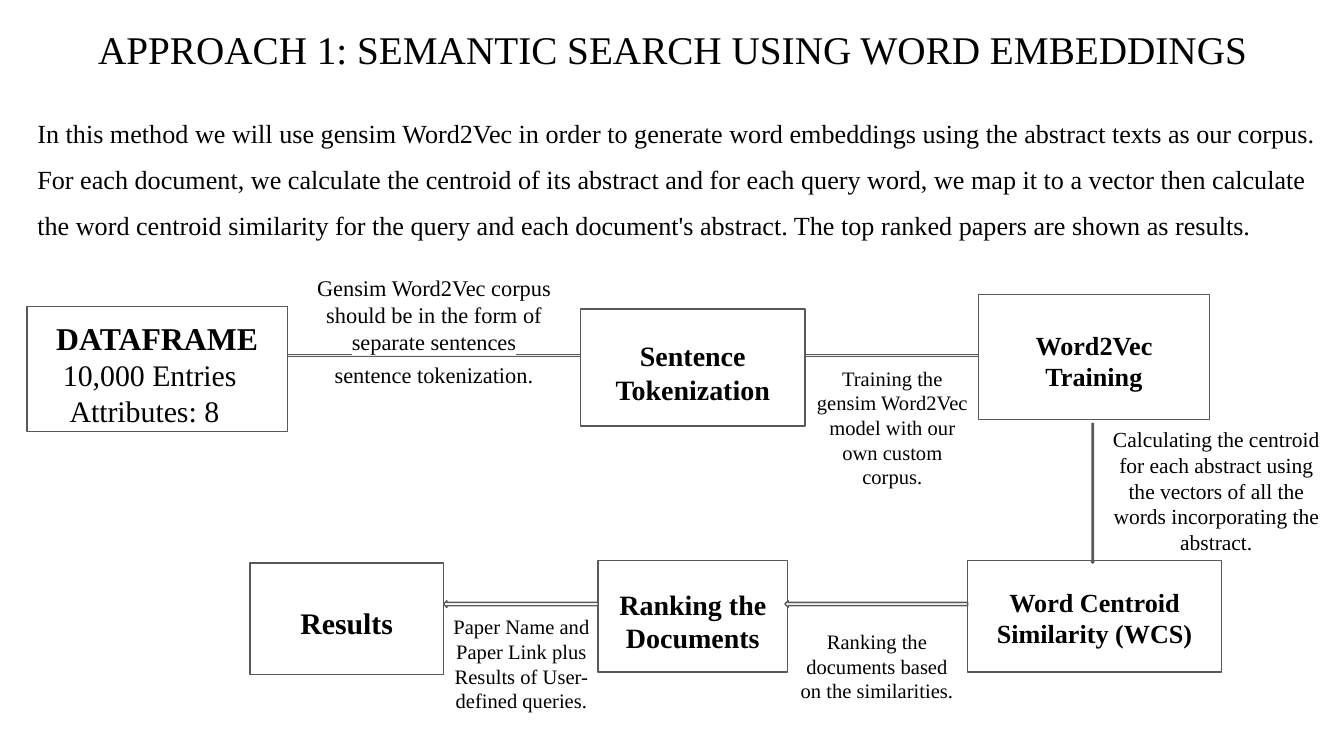
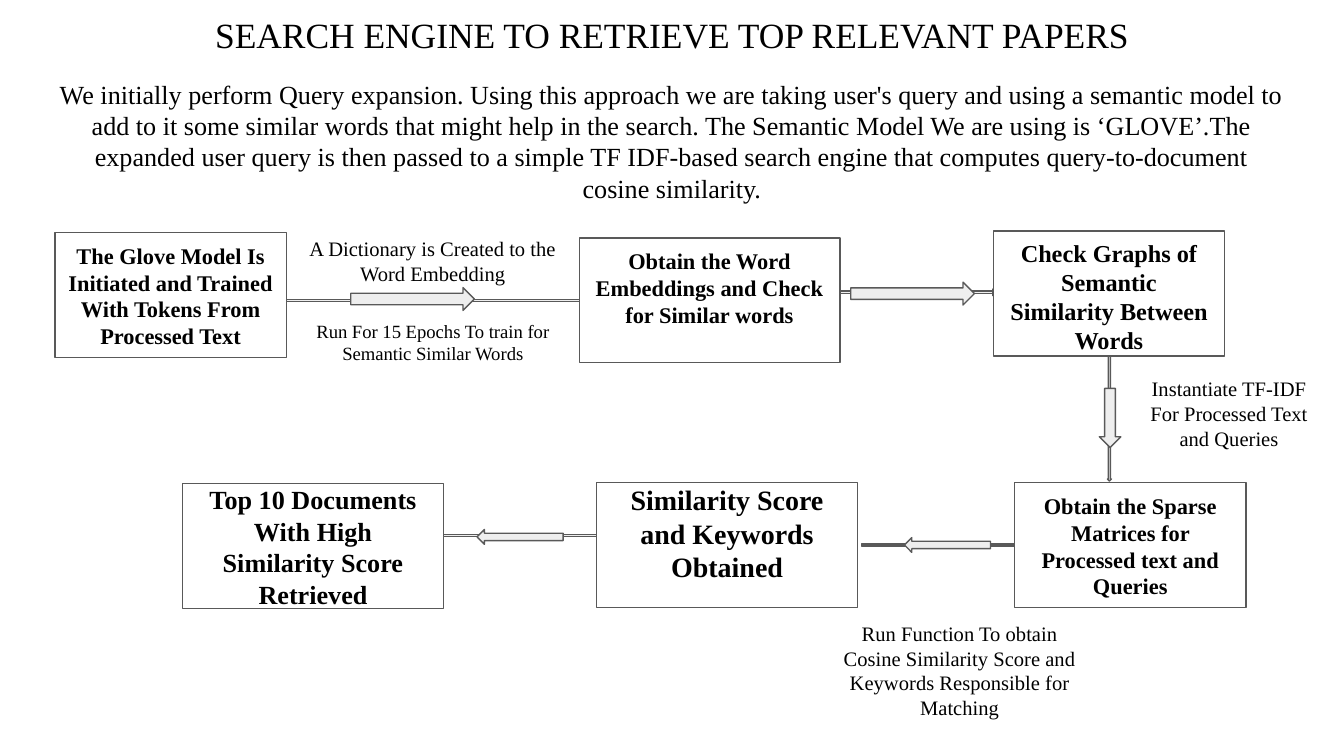
from lxml.etree import SubElement
from pptx import Presentation
from pptx.dml.color import RGBColor
from pptx.enum.shapes import MSO_SHAPE as SHAPE
from pptx.enum.text import MSO_ANCHOR as ANCHOR, MSO_AUTO_SIZE as AUTO, PP_ALIGN as ALIGN
from pptx.oxml.ns import qn
from pptx.util import Pt

EMU_PER_PX = 9144  # 100 px to the inch
FONT = "Times New Roman"
BLACK, WHITE, GREY, EDGE = "000000", "FFFFFF", "EEEEEE", "595959"
INSET = 10
TITLE_ONLY = 5
BAR = (SHAPE.RIGHT_ARROW, (0.333, 0))
RIGHT = (SHAPE.RIGHT_ARROW, (0.5, 0.5))
LEFT = (SHAPE.LEFT_ARROW, (0.5, 0.5))
DOWN = (SHAPE.DOWN_ARROW, (0.5, 0.5))

# places: left, top, width, height
# boxes: place, space above the text, size, text (or several lines: text, size, bold, indent)
# arrows: kind, place, fill
# labels: place, space above the text, size, text
SLIDES = [
    {
        "title": ((24, 9, 953, 48), 21, "APPROACH 1: SEMANTIC SEARCH USING WORD EMBEDDINGS"),
        "intro": ((18, 67, 977, 104), ALIGN.LEFT, 1.46,
                  "In this method we will use gensim Word2Vec in order to generate word embeddings "
                  "using the abstract texts as our corpus. For each document, we calculate the "
                  "centroid of its abstract and for each query word, we map it to a vector then "
                  "calculate the word centroid similarity for the query and each document's "
                  "abstract. The top ranked papers are shown as results."),
        "boxes": [
            ((20, 228, 194, 93), 9, 17, [("DATAFRAME", 17, True, None),
                                         ("10,000 Entries", 16, False, 17),
                                         ("Attributes: 8", 16, False, 22)]),
            ((432, 230, 167, 87), 22, 15, "Sentence Tokenization"),
            ((728, 219, 172, 93), 26, 14, "Word2Vec Training"),
            ((720, 417, 189, 83), 19, 14, "Word Centroid Similarity (WCS)"),
            ((445, 417, 141, 83), 20, 15, "Ranking the Documents"),
            ((186, 419, 144, 83), 31, 16, "Results"),
        ],
        "arrows": [
            (BAR, (214, 262, 218, 5), GREY),
            (BAR, (599, 262, 129, 5), GREY),
            (DOWN, (812, 315, 2, 104), GREY),
            (LEFT, (584, 447, 136, 5), GREY),
            (LEFT, (330, 447, 115, 5), WHITE),
        ],
        "highlight": WHITE,
        "labels": [
            ((214, 194, 218, 48), INSET, 12,
             "Gensim Word2Vec corpus should be in the form of separate sentences"),
            ((237, 239, 172, 68), 30, 12, "sentence tokenization."),
            ((596, 262, 136, 55), INSET, 11,
             "Training the gensim Word2Vec model with our own custom corpus."),
            ((817, 307, 176, 104), INSET, 11.5,
             "Calculating the centroid for each abstract using the vectors of all the words "
             "incorporating the abstract."),
            ((582, 458, 141, 68), INSET, 11, "Ranking the documents based on the similarities."),
            ((316, 447, 144, 68), INSET, 11,
             "Paper Name and Paper Link plus Results of User-defined queries."),
        ],
    },
    {
        "title": ((34, 0, 932, 48), 19, "SEARCH ENGINE TO RETRIEVE TOP RELEVANT PAPERS"),
        "intro": ((34, 48, 932, 110), ALIGN.CENTER, 1.0,
                  "We initially perform Query expansion. Using this approach we are taking user's "
                  "query and using a semantic model to add to it some similar words that might "
                  "help in the search. The Semantic Model We are using is ‘GLOVE’.The expanded "
                  "user query is then passed to a simple TF IDF-based search engine that computes "
                  "query-to-document cosine similarity."),
        "boxes": [
            ((41, 173, 172, 93), 7, 12,
             "The Glove Model Is Initiated and Trained With Tokens From Processed Text"),
            ((431, 177, 194, 93), 7, 12, "Obtain the Word Embeddings and Check for Similar words"),
            ((739, 172, 172, 93), 5, 13, "Check Graphs of Semantic Similarity Between Words"),
            ((755, 359, 172, 93), 7, 12,
             "Obtain the Sparse Matrices for Processed text and Queries"),
            ((444, 359, 194, 93), 0, 15, "Similarity Score and Keywords Obtained"),
            ((136, 360, 194, 93), 0, 14, "Top 10 Documents With High Similarity Score Retrieved"),
        ],
        "arrows": [
            (BAR, (213, 221, 218, 5), GREY),
            (RIGHT, (261, 214, 92, 17), GREY),
            (BAR, (625, 215, 114, 5), GREY),
            (RIGHT, (633, 210, 92, 17), GREY),
            (DOWN, (824, 265, 3, 93), GREY),
            (DOWN, (818, 289, 16, 44), GREY),
            (BAR, (641, 403, 114, 5), GREY),
            (LEFT, (673, 400, 64, 11), GREY),
            (BAR, (330, 396, 114, 5), GREY),
            (LEFT, (355, 394, 64, 11), GREY),
        ],
        "highlight": None,
        "labels": [
            ((213, 166, 218, 63), INSET, 11, "A Dictionary is Created to the Word Embedding"),
            ((221, 228, 202, 63), INSET, 10,
             "Run For 15 Epochs To train for Semantic Similar Words"),
            ((841, 270, 147, 102), INSET, 11,
             "Instantiate TF-IDF For Processed Text and Queries"),
            ((617, 452, 194, 102), INSET, 11,
             "Run Function To obtain Cosine Similarity Score and Keywords Responsible for Matching"),
        ],
    },
]


def px(length):
    return int(length * EMU_PER_PX)


def scaled(place):
    return [px(length) for length in place]


def color(value):
    return RGBColor.from_string(value)


def prepare_frame(shape, above=INSET, below=INSET):
    frame = shape.text_frame
    frame.word_wrap = True
    frame.auto_size = AUTO.NONE
    frame.vertical_anchor = ANCHOR.TOP
    frame.margin_left = frame.margin_right = px(INSET)
    frame.margin_top, frame.margin_bottom = px(above), px(below)
    return frame


def write(para, text, size, bold=False, align=ALIGN.CENTER, highlight=None):
    para.alignment = align
    span = para.add_run()
    span.text = text
    span.font.size, span.font.name, span.font.bold = Pt(size), FONT, bold
    span.font.color.rgb = color(BLACK)
    if highlight:
        properties = span.font._element
        mark = SubElement(properties, qn("a:highlight"))
        SubElement(mark, qn("a:srgbClr"), val=highlight)
        properties.find(qn("a:solidFill")).addnext(mark)


def add_outlined(page, preset, place, fill):
    shape = page.shapes.add_shape(preset, *scaled(place))
    shape.shadow.inherit = False
    shape.fill.solid()
    shape.fill.fore_color.rgb = color(fill)
    shape.line.color.rgb = color(EDGE)
    shape.line.width = Pt(0.75)
    return shape


def add_title(page, place, size, text):
    title = page.shapes.title
    title.left, title.top, title.width, title.height = scaled(place)
    write(prepare_frame(title).paragraphs[0], text, size)


def add_intro(page, place, align, spacing, text):
    box = page.shapes.add_textbox(*scaled(place))
    para = prepare_frame(box).paragraphs[0]
    para.line_spacing = spacing
    write(para, text, 14, align=align)


def add_step(page, place, above, size, content):
    frame = prepare_frame(add_outlined(page, SHAPE.RECTANGLE, place, WHITE), above, 0)
    lines = [(content, size, True, None)] if isinstance(content, str) else content
    for number, (text, line_size, bold, indent) in enumerate(lines):
        para = frame.add_paragraph() if number else frame.paragraphs[0]
        write(para, text, line_size, bold, ALIGN.LEFT if indent else ALIGN.CENTER)
        if indent:
            para._p.get_or_add_pPr().set("marL", str(px(indent)))


def add_arrow(page, kind, place, fill):
    preset, adjustments = kind
    arrow = add_outlined(page, preset, place, fill)
    for number, value in enumerate(adjustments):
        arrow.adjustments[number] = value


def add_label(page, highlight, place, above, size, text):
    box = page.shapes.add_textbox(*scaled(place))
    write(prepare_frame(box, above).paragraphs[0], text, size, highlight=highlight)


def main():
    deck = Presentation()
    deck.slide_width, deck.slide_height = scaled((1000, 562.5))
    for content in SLIDES:
        page = deck.slides.add_slide(deck.slide_layouts[TITLE_ONLY])
        add_title(page, *content["title"])
        add_intro(page, *content["intro"])
        for step in content["boxes"]:
            add_step(page, *step)
        for arrow in content["arrows"]:
            add_arrow(page, *arrow)
        for label in content["labels"]:
            add_label(page, content["highlight"], *label)
    deck.save("out.pptx")


if __name__ == "__main__":
    main()
